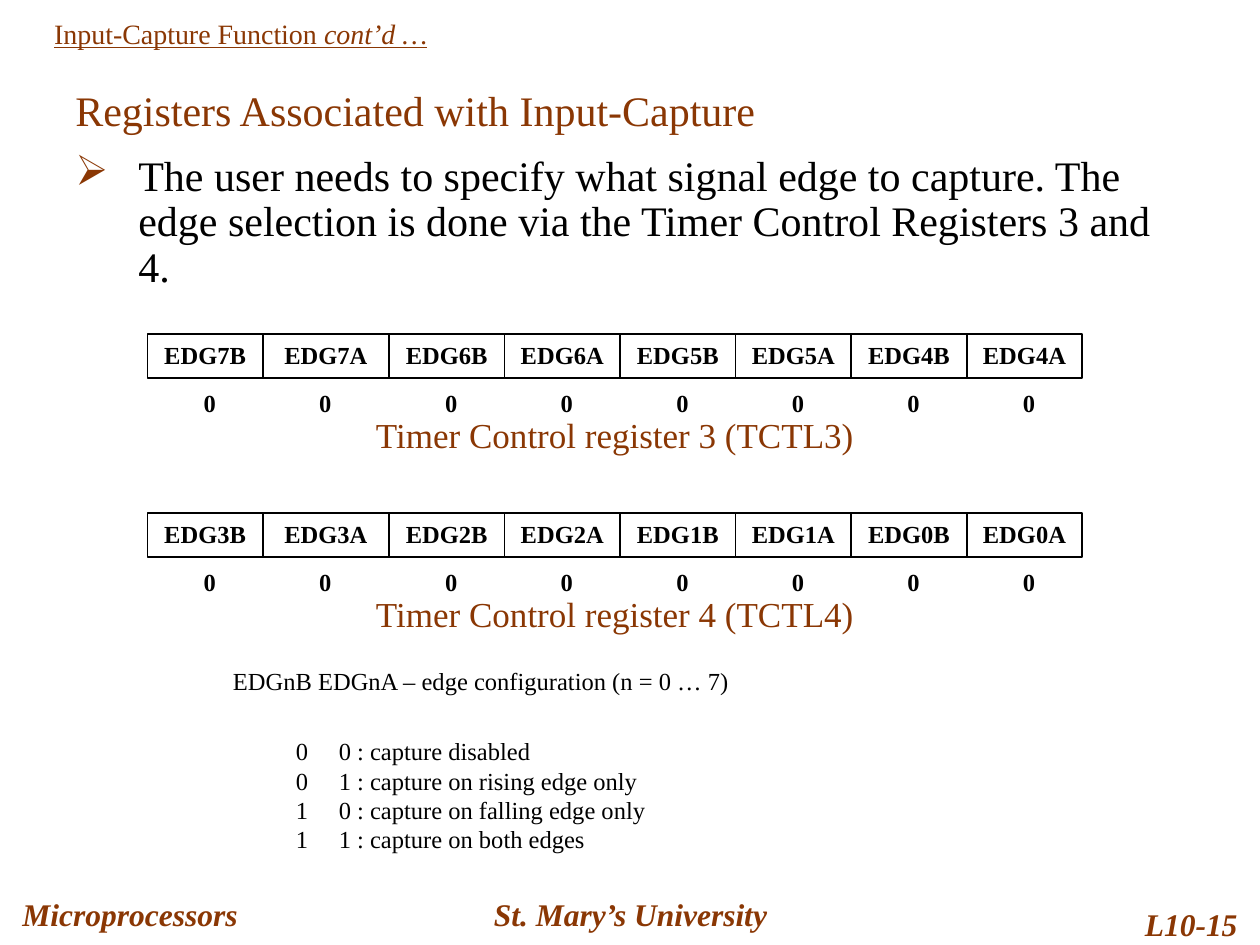
from dataclasses import dataclass
from itertools import accumulate

from lxml import etree
from pptx import Presentation
from pptx.dml.color import RGBColor
from pptx.enum import shapes, text
from pptx.oxml.ns import qn
from pptx.util import Inches, Pt


@dataclass(frozen=True)
class Theme:
    font: str = "Times New Roman"
    accent: RGBColor = RGBColor(0x8A, 0x37, 0x04)
    ink: RGBColor = RGBColor(0, 0, 0)
    small: int = 14
    header: int = 16
    footer: int = 18
    caption: int = 20
    body: int = 24


THEME = Theme()
LEFT, CENTER, RIGHT = text.PP_ALIGN.LEFT, text.PP_ALIGN.CENTER, text.PP_ALIGN.RIGHT


def write(frame, content, size=THEME.small, color=THEME.ink, bold=False, italic=False,
          underline=None, align=LEFT, spacing=None, before=0, margin=0, hanging=0,
          bullet=None):
    """Add a paragraph; content is a string or a list of (text, italic) runs."""
    paragraph = frame.paragraphs[0]
    if paragraph.runs:
        paragraph = frame.add_paragraph()
    paragraph.alignment = align
    paragraph.line_spacing = spacing
    paragraph.space_before = Pt(before)
    properties = paragraph._p.get_or_add_pPr()
    properties.set("marL", str(Inches(margin)))
    properties.set("indent", str(-Inches(hanging)))
    if bullet:
        bullet_color = etree.SubElement(properties, qn("a:buClr"))
        etree.SubElement(bullet_color, qn("a:srgbClr"), val=str(THEME.accent))
        etree.SubElement(properties, qn("a:buChar"), char=bullet)
    else:
        etree.SubElement(properties, qn("a:buNone"))
    runs = [(content, italic)] if isinstance(content, str) else content
    for words, slanted in runs:
        run = paragraph.add_run()
        run.text = words
        font = run.font
        font.name, font.size, font.color.rgb = THEME.font, Pt(size), color
        font.bold, font.italic, font.underline = bold, slanted, underline


def text_area(slide, left, top, width, height, anchor=text.MSO_ANCHOR.TOP, wrap=True):
    box = slide.shapes.add_textbox(Inches(left), Inches(top), Inches(width), Inches(height))
    frame = box.text_frame
    frame.word_wrap, frame.vertical_anchor = wrap, anchor
    return frame


def add_header(slide, left, top, width, height):
    title = slide.shapes.title
    title.left, title.top = Inches(left), Inches(top)
    title.width, title.height = Inches(width), Inches(height)
    frame = title.text_frame
    frame.auto_size = text.MSO_AUTO_SIZE.NONE
    frame.vertical_anchor = text.MSO_ANCHOR.TOP
    write(frame, [("Input-Capture Function ", False), ("cont’d …", True)],
          size=THEME.header, color=THEME.accent, underline=True)


def add_body(slide, left, top, width, height):
    frame = text_area(slide, left, top, width, height)
    write(frame, "Registers Associated with Input-Capture", size=THEME.body,
          color=THEME.accent, spacing=0.9, margin=0.5, hanging=0.5)
    write(frame, "The user needs to specify what signal edge to capture. The edge "
          "selection is done via the Timer Control Registers 3 and 4.",
          size=THEME.body, spacing=0.9, before=11, margin=0.5, hanging=0.5, bullet="➢")


def add_register(slide, left, top, width, number, high_bit):
    """A row of eight bit fields, their reset values and a caption."""
    names = [f"EDG{bit}{side}" for bit in range(high_bit, high_bit - 4, -1) for side in "BA"]
    wide = 1  # the second field is a little wider than the rest
    narrow = (width - wide) / (len(names) - 1)
    widths = [narrow, wide] + [narrow] * (len(names) - 2)
    lefts = accumulate(widths[:-1], initial=left)
    for name, field_left, field_width in zip(names, lefts, widths):
        field = slide.shapes.add_shape(shapes.MSO_SHAPE.RECTANGLE, Inches(field_left),
                                       Inches(top), Inches(field_width), Inches(0.35))
        field.shadow.inherit = False
        field.fill.background()
        field.line.color.rgb, field.line.width = THEME.ink, Pt(1)
        field.text_frame.vertical_anchor = text.MSO_ANCHOR.TOP
        write(field.text_frame, name, bold=True, align=CENTER)
        reset_value = text_area(slide, field_left + 0.33, top + 0.38, 0.33, 0.33)
        write(reset_value, "0", bold=True, align=CENTER)
    caption = text_area(slide, left, top + 0.58, width, 0.43)
    write(caption, f"Timer Control register {number} (TCTL{number})",
          size=THEME.caption, color=THEME.accent, align=CENTER)


def add_edge_key(slide, left, top, width, height):
    frame = text_area(slide, left, top, width, height)
    write(frame, "EDGnB EDGnA – edge configuration (n = 0 … 7)",
          spacing=0.95, margin=1, hanging=0.5)
    meanings = ["capture disabled", "capture on rising edge only",
                "capture on falling edge only", "capture on both edges"]
    for code, meaning in enumerate(meanings):
        write(frame, f"{code // 2}\t{code % 2} : {meaning}", spacing=0.8,
              before=3.3 if code else 26.5, margin=1.34, hanging=0.34)


def add_footer(slide):
    parts = [("Microprocessors", LEFT, 0.08, 7, 2.42),
             ("St. Mary’s University", CENTER, 3.42, 7, 3.17),
             ("L10-15", RIGHT, 8.67, 7.08, 1.25)]
    for words, align, left, top, width in parts:
        frame = text_area(slide, left, top, width, 0.5, text.MSO_ANCHOR.MIDDLE)
        write(frame, words, size=THEME.footer, color=THEME.accent,
              bold=True, italic=True, align=align)


def main():
    deck = Presentation()
    deck.slide_width, deck.slide_height = Inches(10), Inches(7.5)
    slide = deck.slides.add_slide(deck.slide_layouts[5])  # title only
    add_footer(slide)
    add_header(slide, 0.33, 0.08, 8.92, 0.37)
    add_body(slide, 0.5, 0.67, 9, 1.7)
    add_register(slide, 1.17, 2.65, 7.42, number=3, high_bit=7)
    add_register(slide, 1.17, 4.07, 7.42, number=4, high_bit=3)
    add_edge_key(slide, 1.25, 5.25, 6.08, 1.59)
    deck.save("out.pptx")


if __name__ == "__main__":
    main()
